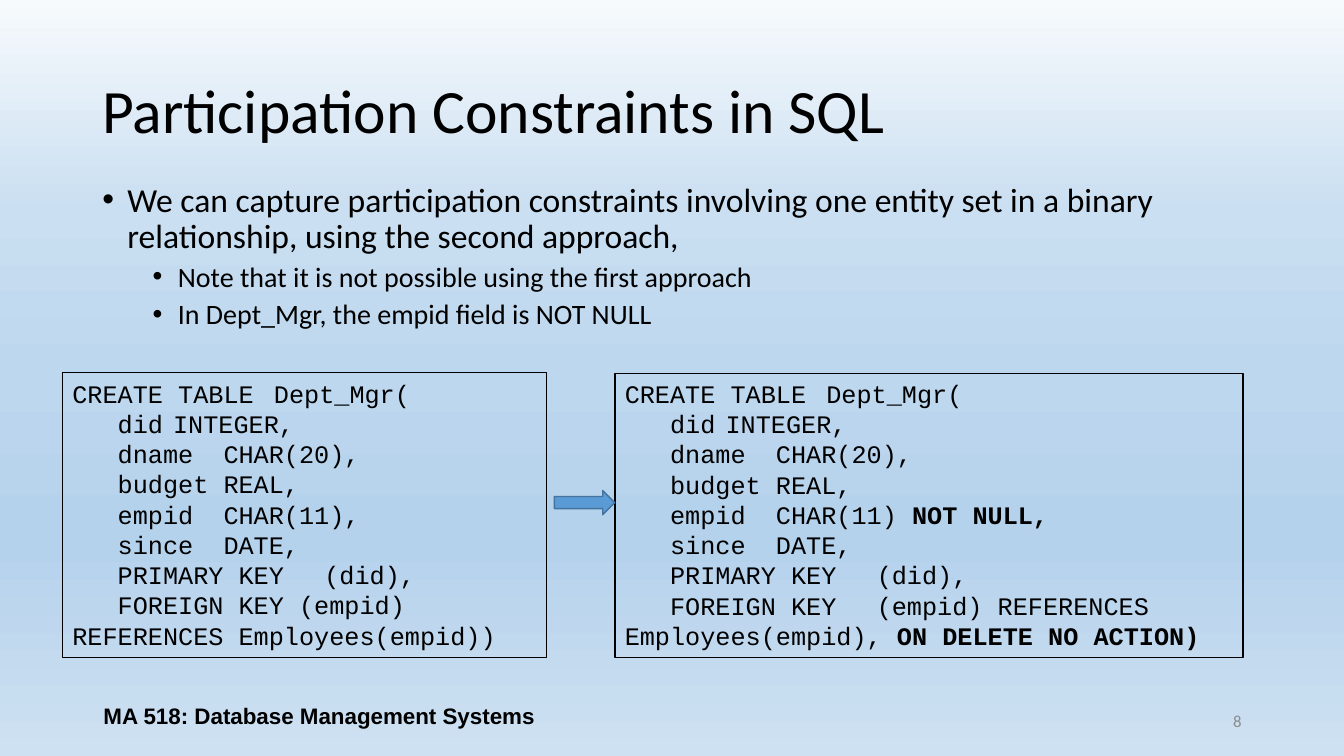
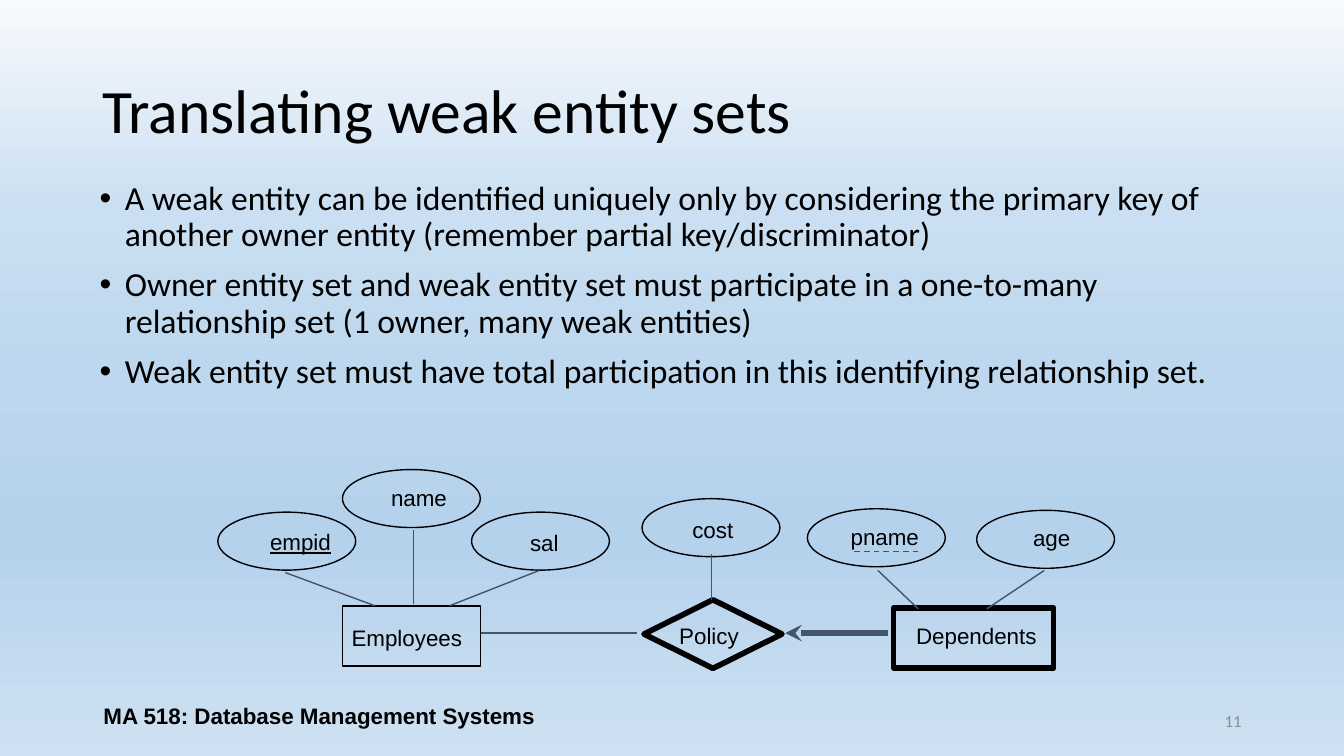
"""Build two database slides: participation constraints in SQL and weak entity sets."""
from lxml import etree
from pptx import Presentation
from pptx.dml.color import RGBColor
from pptx.enum.dml import MSO_LINE
from pptx.enum.shapes import MSO_CONNECTOR, MSO_SHAPE
from pptx.enum.text import MSO_ANCHOR, MSO_AUTO_SIZE, PP_ALIGN
from pptx.oxml.ns import qn
from pptx.util import Pt

BLACK = RGBColor(0x00, 0x00, 0x00)
GRAY = RGBColor(0x8C, 0x8C, 0x8C)
SLATE = RGBColor(0x44, 0x54, 0x6A)
BLUE = RGBColor(0x5B, 0x9B, 0xD5)
DARK_BLUE = RGBColor(0x43, 0x73, 0x9E)
SKY = [(0, "F7FAFD"), (28, "CADFF1"), (49, "BDD7EE"), (71, "B5D2EC"), (72, "B5D2EC"), (100, "CEE1F2")]

COURSE = "MA 518: Database Management Systems"
CODE_SIZE = 18
CODE_CHAR = CODE_SIZE * 0.6
BULLET_SIZES = [24, 20]

SQL_TITLE = "Participation Constraints in SQL"
SQL_BULLETS = [
    (0, "We can capture participation constraints involving one entity set in a binary relationship, "
        "using the second approach, "),
    (1, "Note that it is not possible using the first approach"),
    (1, "In Dept_Mgr, the empid field is NOT NULL"),
]
# Each code line: indent and tab column in characters, plain text, bold text.
SQL_START = [
    (0, 14, "CREATE TABLE\tDept_Mgr(", ""),
    (3, 10, "did\tINTEGER,", ""),
    (3, 10, "dname\tCHAR(20),", ""),
    (3, 10, "budget\tREAL,", ""),
]
SQL_KEYS = [(3, 10, "since\tDATE,", ""), (3, 16, "PRIMARY KEY\t(did),", "")]
SQL_BEFORE = SQL_START + [(3, 12, "empid\tCHAR(11),", "")] + SQL_KEYS + [
    (3, 16, "FOREIGN KEY (empid) REFERENCES Employees(empid))", "")]
SQL_AFTER = SQL_START + [(3, 10, "empid\tCHAR(11)", " NOT NULL,")] + SQL_KEYS + [
    (3, 16, "FOREIGN KEY\t(empid) REFERENCES Employees(empid), ", "ON DELETE NO ACTION)")]
CODE_BOXES = [(SQL_AFTER, (439.2, 266.6, 448.6, 203), 1), (SQL_BEFORE, (44.6, 266.4, 345.6, 203.6), 0.75)]

WEAK_TITLE = "Translating weak entity sets"
WEAK_BULLETS = [
    (0, "A weak entity can be identified uniquely only by considering the primary key of another owner "
        "entity (remember partial key/discriminator)"),
    (0, "Owner entity set and weak entity set must participate in a one-to-many relationship set "
        "(1 owner, many weak entities)"),
    (0, "Weak entity set must have total participation in this identifying relationship set. "),
]
ATTRIBUTE_SIZE = (98.5, 41.4)
ATTRIBUTES = [
    ("empid", (155.6, 365.8), (185.8, 373.7, 58.3)),
    ("name", (244.6, 335.4), (272.2, 342, 56.2)),
    ("sal", (336.8, 365.8), (371.5, 374.4, 35.3)),
    ("cost", (458.6, 356.2), (487.4, 365, 46.8)),
    ("pname", (576.7, 363.4), (600.5, 370.1, 65.5)),
    ("age", (697.6, 364.5), (730.8, 370.8, 41.8)),
]
SETS = [
    ("Employees", MSO_SHAPE.RECTANGLE, (244.6, 433, 98.5, 42.8), 1, (244.1, 442.1, 98.6)),
    ("Policy", MSO_SHAPE.DIAMOND, (460, 428.4, 98.6, 49), 4, (478.1, 440.6, 61.2)),
    ("Dependents", MSO_SHAPE.RECTANGLE, (638.4, 434.2, 114.3, 43), 4, (647.3, 440.6, 105.8)),
]
LINKS = [
    (295.2, 378.7, 295.2, 431.3),
    (203.8, 409, 267.8, 432.7),
    (385.2, 407.5, 321.1, 432.7),
    (508.3, 428.4, 508.3, 396),
    (627.1, 407.5, 655.9, 434.9),
    (745.9, 407.5, 704.9, 434.9),
    (455, 452.2, 343.4, 452.2),
]
PARTIAL_KEY = (655.9, 393.8, 607.7, 393.8)
IDENTIFYING = (560.9, 452.2, 634.3, 452.2)


def points(values):
    return [Pt(value) for value in values]


def add_run(paragraph, text, size, font, color=BLACK, bold=False, underline=False):
    run = paragraph.add_run()
    run.text = text
    run.font.size, run.font.name = Pt(size), font
    run.font.color.rgb = color
    run.font.bold, run.font.underline = bold, underline


def add_box(slide, place, anchor=MSO_ANCHOR.TOP):
    frame = slide.shapes.add_textbox(*points(place)).text_frame
    frame.word_wrap = True
    frame.vertical_anchor = anchor
    return frame


def add_outline(slide, preset, place, width):
    outline = slide.shapes.add_shape(preset, *points(place))
    outline.shadow.inherit = False
    outline.fill.background()
    outline.line.color.rgb = BLACK
    outline.line.width = Pt(width)
    return outline


def add_link(slide, ends, width=1):
    link = slide.shapes.add_connector(MSO_CONNECTOR.STRAIGHT, *points(ends))
    link.line.color.rgb = SLATE
    link.line.width = Pt(width)
    etree.SubElement(link._element.spPr, qn("a:effectLst"))
    return link


def add_label(slide, text, place, underline=False):
    frame = add_box(slide, (*place, 26))
    frame.word_wrap = False
    frame.auto_size = MSO_AUTO_SIZE.SHAPE_TO_FIT_TEXT
    add_run(frame.paragraphs[0], text, 16, "Arial", underline=underline)


def next_paragraph(frame, index):
    return frame.add_paragraph() if index else frame.paragraphs[0]


def add_bullets(slide, bullets, left, top):
    frame = add_box(slide, (left, top, 828, 342.7))
    for index, (level, text) in enumerate(bullets):
        paragraph = next_paragraph(frame, index)
        paragraph.level = level
        paragraph.line_spacing = 0.9
        paragraph.space_before = Pt(10 - 5 * level)
        props = paragraph._p.get_or_add_pPr()
        props.set("marL", str(Pt(18 + 36 * level)))
        props.set("indent", str(Pt(-18)))
        etree.SubElement(props, qn("a:buFont"), typeface="Arial")
        etree.SubElement(props, qn("a:buChar"), char="\u2022")
        add_run(paragraph, text, BULLET_SIZES[level], "Calibri")


def add_code(slide, lines, place, width):
    frame = add_outline(slide, MSO_SHAPE.RECTANGLE, place, width).text_frame
    frame.word_wrap = True
    frame.vertical_anchor = MSO_ANCHOR.TOP
    for index, (indent, column, plain, bold) in enumerate(lines):
        paragraph = next_paragraph(frame, index)
        paragraph.alignment = PP_ALIGN.LEFT
        props = paragraph._p.get_or_add_pPr()
        props.set("marL", "0")
        props.set("indent", str(Pt(indent * CODE_CHAR)))
        stops = etree.SubElement(props, qn("a:tabLst"))
        etree.SubElement(stops, qn("a:tab"), pos=str(Pt(column * CODE_CHAR)), algn="l")
        add_run(paragraph, plain, CODE_SIZE, "Courier New")
        if bold:
            add_run(paragraph, bold, CODE_SIZE, "Courier New", bold=True)


def add_slide(deck, title, number):
    slide = deck.slides.add_slide(deck.slide_layouts[6])
    sky = slide.background.fill
    sky.gradient()
    sky.gradient_angle = 270
    stops = slide._element.find(".//" + qn("a:gsLst"))
    for stop in list(stops):
        stops.remove(stop)
    for percent, color in SKY:
        stop = etree.SubElement(stops, qn("a:gs"), pos=str(percent * 1000))
        etree.SubElement(stop, qn("a:srgbClr"), val=color)
    heading = add_box(slide, (66, 28.8, 828, 104.4), MSO_ANCHOR.MIDDLE).paragraphs[0]
    heading.line_spacing = 0.9
    add_run(heading, title, 44, "Calibri")
    page = add_box(slide, (678, 500.5, 216, 28.8), MSO_ANCHOR.MIDDLE).paragraphs[0]
    page.alignment = PP_ALIGN.RIGHT
    add_run(page, str(number), 12, "Calibri", GRAY)
    footer = add_box(slide, (66, 497, 324, 28.8), MSO_ANCHOR.MIDDLE).paragraphs[0]
    footer.alignment = PP_ALIGN.CENTER
    add_run(footer, COURSE, 16, "Arial", bold=True)
    return slide


def build_sql(deck):
    slide = add_slide(deck, SQL_TITLE, 8)
    add_bullets(slide, SQL_BULLETS, 66, 127.4)
    for lines, place, width in CODE_BOXES:
        add_code(slide, lines, place, width)
    arrow = add_outline(slide, MSO_SHAPE.RIGHT_ARROW, (396, 350.4, 43.2, 17.3), 1)
    arrow.fill.solid()
    arrow.fill.fore_color.rgb = BLUE
    arrow.line.color.rgb = DARK_BLUE


def build_weak(deck):
    slide = add_slide(deck, WEAK_TITLE, 11)
    add_bullets(slide, WEAK_BULLETS, 64.1, 126)
    for name, corner, label in ATTRIBUTES:
        add_outline(slide, MSO_SHAPE.OVAL, (*corner, *ATTRIBUTE_SIZE), 1)
        add_label(slide, name, label, underline=name == "empid")
    for name, preset, place, width, label in SETS:
        add_outline(slide, preset, place, width)
        add_label(slide, name, label)
    for ends in LINKS:
        add_link(slide, ends)
    add_link(slide, PARTIAL_KEY).line.dash_style = MSO_LINE.DASH
    line = add_link(slide, IDENTIFYING, 4).line._get_or_add_ln()
    etree.SubElement(line, qn("a:headEnd"), type="stealth")


deck = Presentation()
deck.slide_width, deck.slide_height = Pt(960), Pt(540)
build_sql(deck)
build_weak(deck)
deck.save("out.pptx")
